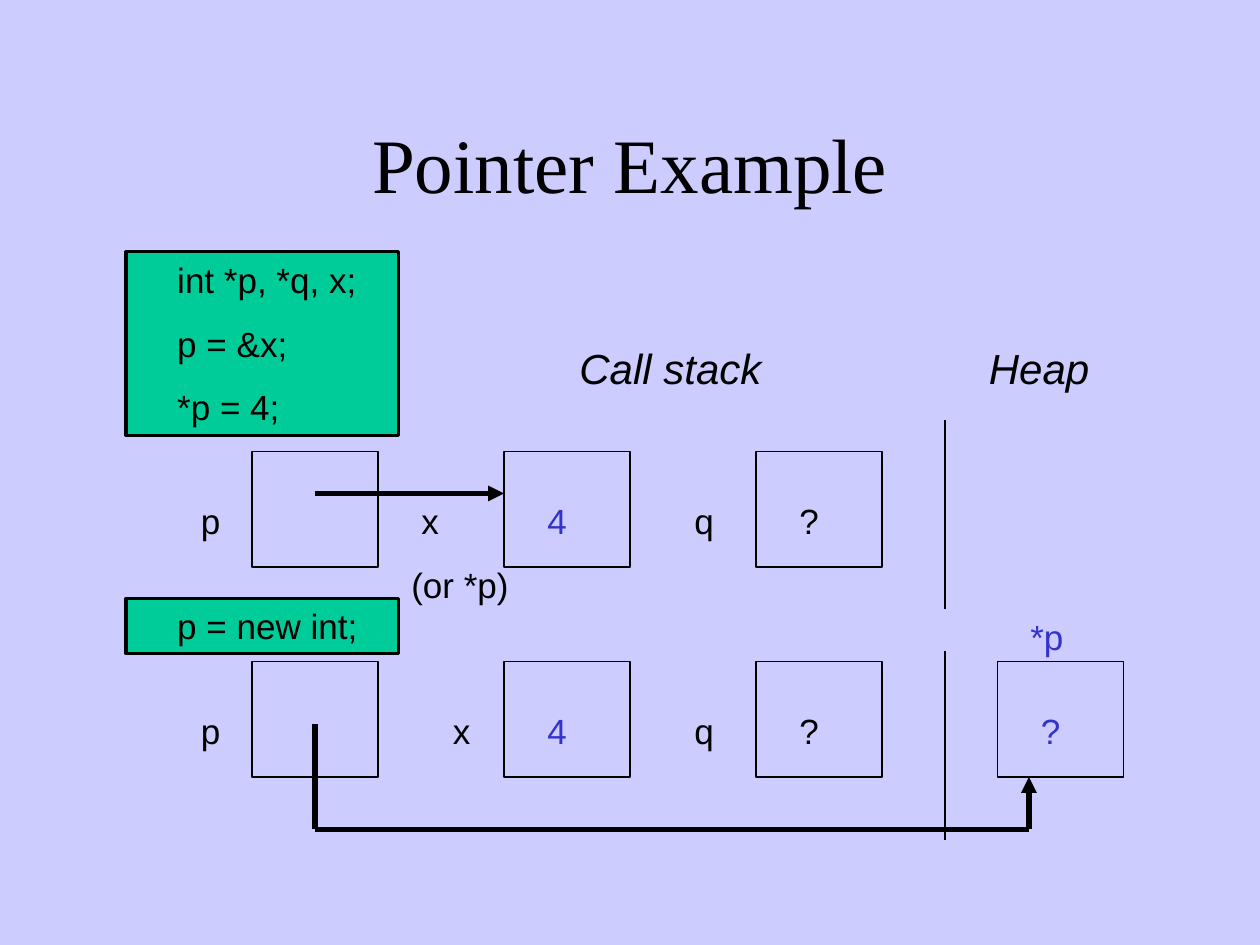
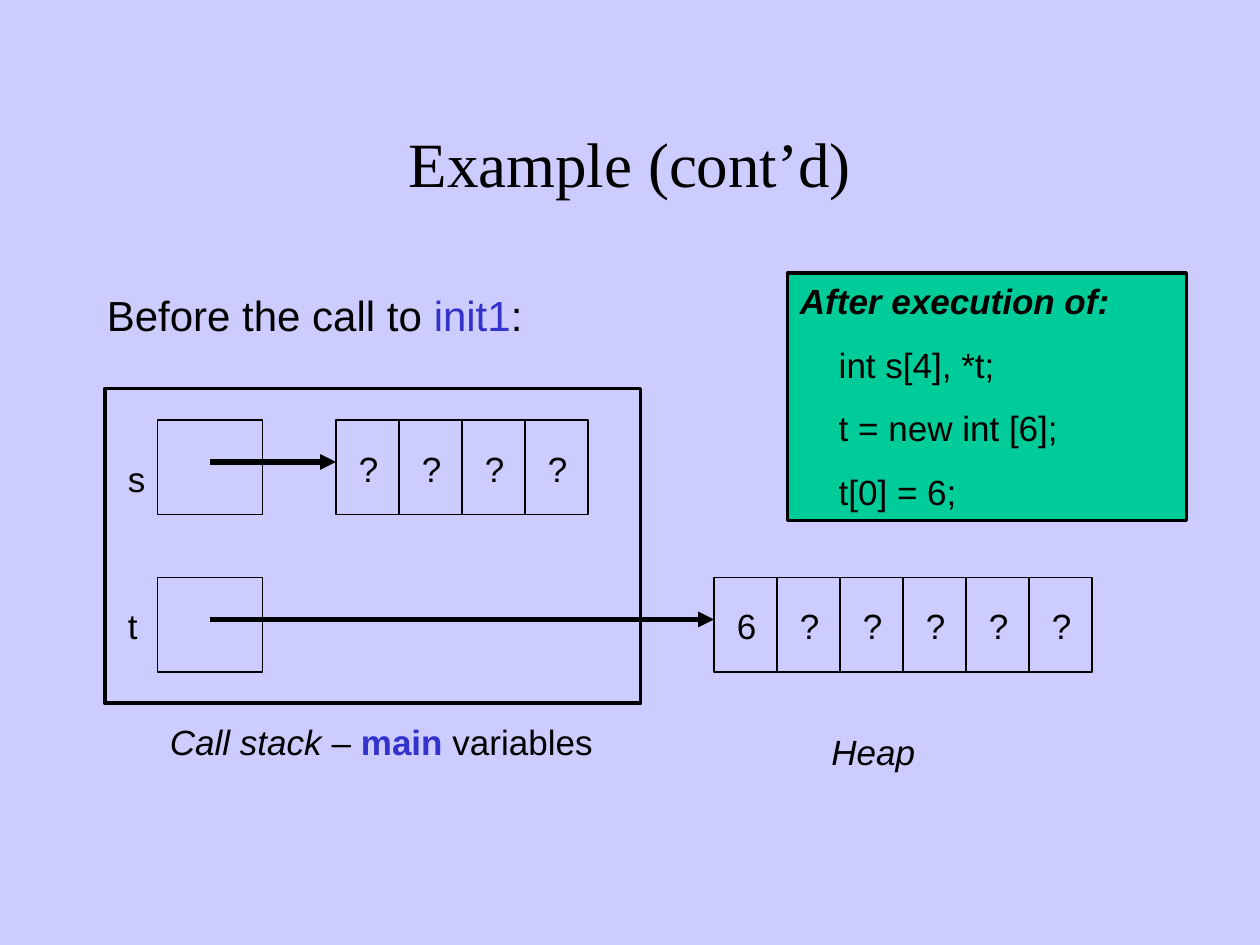
from lxml import etree
from pptx import Presentation, util as u
from pptx.dml.color import RGBColor
from pptx.enum import shapes, text
from pptx.oxml.ns import qn

BACKGROUND = "CCCCFF"
CODE_FILL = "00CC99"
INK = "000000"
ACCENT = "3333CC"
BODY_FONT = "Arial"
TITLE_FONT = "Times New Roman"
BODY_SIZE = 20
HEADING_SIZE = 24
LINE_STEP = 6.1
VALUE_INDENT = u.Cm(0.2)


def grid(n):
    """Return a length of n grid steps, twelve to the inch."""
    return u.Cm(n * 2.54 / 12)


def rgb(hex_code):
    """Return the colour for a hex string."""
    return RGBColor.from_string(hex_code)


def text_height(size, lines=1):
    """Return the height in grid steps of a box holding the given lines."""
    return 1.5 + 0.1875 * size + LINE_STEP * (lines - 1)


def write(tf, lines, size=BODY_SIZE, font=BODY_FONT, indent=0):
    """Fill a frame with lines, each a string or a list of (text, style) runs.

    Style letters are b for bold, i for italic and a for the accent colour.
    """
    tf.word_wrap = True
    for n, line in enumerate(lines):
        p = tf.add_paragraph() if n else tf.paragraphs[0]
        p.alignment = text.PP_ALIGN.LEFT
        if n:
            p.space_before = u.Pt(size * 0.625)
        elif indent:
            p._p.get_or_add_pPr().set("indent", str(int(indent)))
        for words, style in [(line, "")] if isinstance(line, str) else line:
            r = p.add_run()
            r.text = words
            r.font.name = font
            r.font.size = u.Pt(size)
            r.font.bold = "b" in style
            r.font.italic = "i" in style
            r.font.color.rgb = rgb(ACCENT if "a" in style else INK)


def add_label(s, x, y, w, lines, size=BODY_SIZE, indent=0):
    """Add a plain text box at a grid position."""
    h = text_height(size, len(lines))
    sp = s.shapes.add_textbox(grid(x), grid(y), grid(w), grid(h))
    write(sp.text_frame, lines, size, indent=indent)


def add_title(s, title, size):
    """Add the centred slide title."""
    sp = s.shapes.add_textbox(grid(9), grid(8), grid(102), grid(15))
    tf = sp.text_frame
    write(tf, [title], size, TITLE_FONT)
    tf.vertical_anchor = text.MSO_ANCHOR.MIDDLE
    tf.paragraphs[0].alignment = text.PP_ALIGN.CENTER


def add_box(s, x, y, w, h, weight=0.75, fill=None):
    """Add an outlined rectangle, filled when a colour is given."""
    sp = s.shapes.add_shape(shapes.MSO_SHAPE.RECTANGLE,
                            grid(x), grid(y), grid(w), grid(h))
    sp.shadow.inherit = False
    sp.line.color.rgb = rgb(INK)
    sp.line.width = u.Pt(weight)
    if fill:
        sp.fill.solid()
        sp.fill.fore_color.rgb = rgb(fill)
    else:
        sp.fill.background()
    return sp


def add_code(s, x, y, w, lines):
    """Add a green code panel sized to its lines."""
    sp = add_box(s, x, y, w, text_height(BODY_SIZE, len(lines)), 1.75, CODE_FILL)
    sp.text_frame.vertical_anchor = text.MSO_ANCHOR.TOP
    write(sp.text_frame, lines)


def add_line(s, start, end, weight=0.75, arrow=False):
    """Add a straight line between two grid points."""
    c = s.shapes.add_connector(shapes.MSO_CONNECTOR.STRAIGHT,
                               *map(grid, start + end))
    c.line.color.rgb = rgb(INK)
    c.line.width = u.Pt(weight)
    if arrow:
        etree.SubElement(c.line._get_or_add_ln(), qn("a:tailEnd"), type="triangle")
    etree.SubElement(c._element.spPr, qn("a:effectLst"))


def add_pointer(s, *points):
    """Add a thick path through grid points with an arrow at the last one."""
    for n in range(1, len(points)):
        add_line(s, points[n - 1], points[n], 3, n == len(points) - 1)


def add_variable(s, x, y, value=None, style=""):
    """Add a memory box with its value, if any."""
    add_box(s, x, y, 12, 11)
    if value:
        add_label(s, x + 2, y + 4, 8, [[(value, style)]], indent=VALUE_INDENT)


def add_stack_row(s, y, x_label_left, x_label):
    """Add the variables p, x and q on the call stack and the heap divider."""
    add_variable(s, 24, y)
    add_variable(s, 48, y, "4", "a")
    add_variable(s, 72, y, "?")
    add_label(s, 17, y + 4, 8, ["p"], indent=VALUE_INDENT)
    add_label(s, x_label_left, y + 4, 51 - x_label_left, x_label, indent=VALUE_INDENT)
    add_label(s, 64, y + 4, 8, ["q"], indent=VALUE_INDENT)


def add_array(s, x, y, values):
    """Add a row of adjoining array cells."""
    for n, value in enumerate(values):
        left = x + 6 * n
        add_box(s, left, y, 6, 9)
        add_label(s, left + 1, y + 2, 4, [value])


def pointer_slide(s):
    """Build the slide on pointers to the stack and to the heap."""
    add_title(s, "Pointer Example", 44)
    add_code(s, 12, 24, 26, ["    int *p, *q, x;", "    p = &x;", "    *p = 4;"])
    add_stack_row(s, 43, 38, ["x", "(or *p)"])
    add_pointer(s, (30, 47), (48, 47))
    add_code(s, 12, 57, 26, ["    p = new int;"])
    add_stack_row(s, 63, 41, ["x"])
    add_variable(s, 95, 63, "?", "a")
    add_label(s, 96, 58, 8, [[("*p", "a")]], indent=VALUE_INDENT)
    for top in (40, 62):
        add_line(s, (90, top), (90, top + 18))
    add_pointer(s, (30, 69), (30, 79), (98, 79), (98, 74))
    for x, w, heading in ((54, 22, "Call stack"), (93, 14, "Heap")):
        add_label(s, x, 32, w, [[(heading, "i")]], HEADING_SIZE)


def array_slide(s):
    """Build the slide on a stack array and a heap array."""
    add_title(s, "Example (cont’d)", 36)
    add_label(s, 9, 27, 76, [[("Before the call to ", ""), ("init1", "a"), (":", "")]],
              HEADING_SIZE)
    add_box(s, 10, 37, 51, 30, 2.25)
    for name, y, name_y, array_x, values in (("s", 40, 43, 32, "????"),
                                             ("t", 55, 57, 68, "6?????")):
        add_box(s, 15, y, 10, 9)
        add_label(s, 11, name_y, 4, [name])
        add_array(s, array_x, y, values)
        add_pointer(s, (20, y + 4), (array_x, y + 4))
    add_label(s, 15, 68, 44, [[("Call stack", "i"), (" – ", ""), ("main", "ab"),
                               (" variables", "")]])
    add_label(s, 78, 69, 12, [[("Heap", "i")]])
    add_code(s, 75, 26, 38, [[("After execution of:", "bi")], "    int s[4], *t;",
                             "    t = new int [6];", "    t[0] = 6;"])


def main():
    """Build and save the presentation."""
    prs = Presentation()
    prs.slide_width, prs.slide_height = u.Cm(25.4), u.Cm(19.05)
    fill = prs.slide_master.background.fill
    fill.solid()
    fill.fore_color.rgb = rgb(BACKGROUND)
    for build in (pointer_slide, array_slide):
        build(prs.slides.add_slide(prs.slide_layouts[6]))
    prs.save("out.pptx")


if __name__ == "__main__":
    main()
